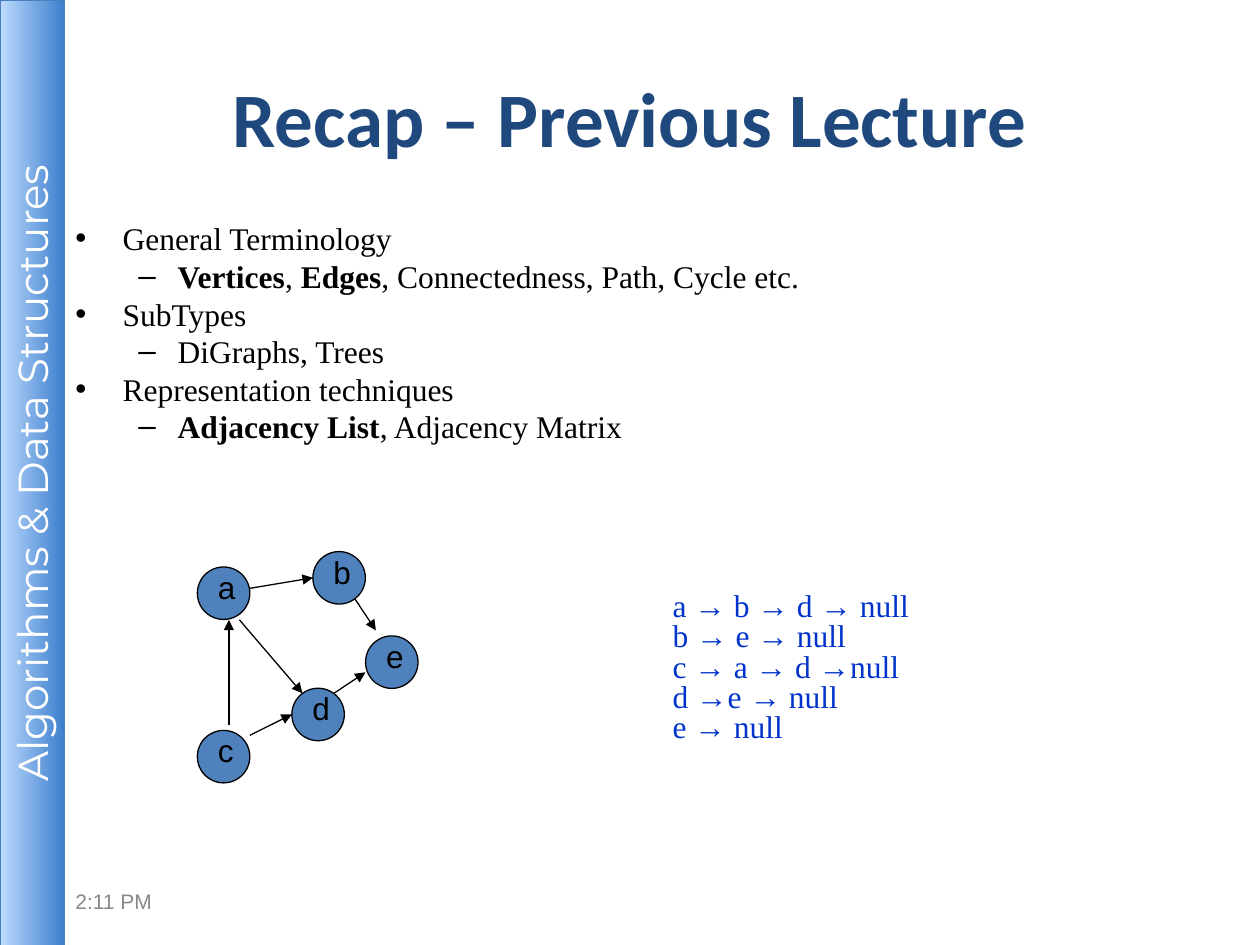
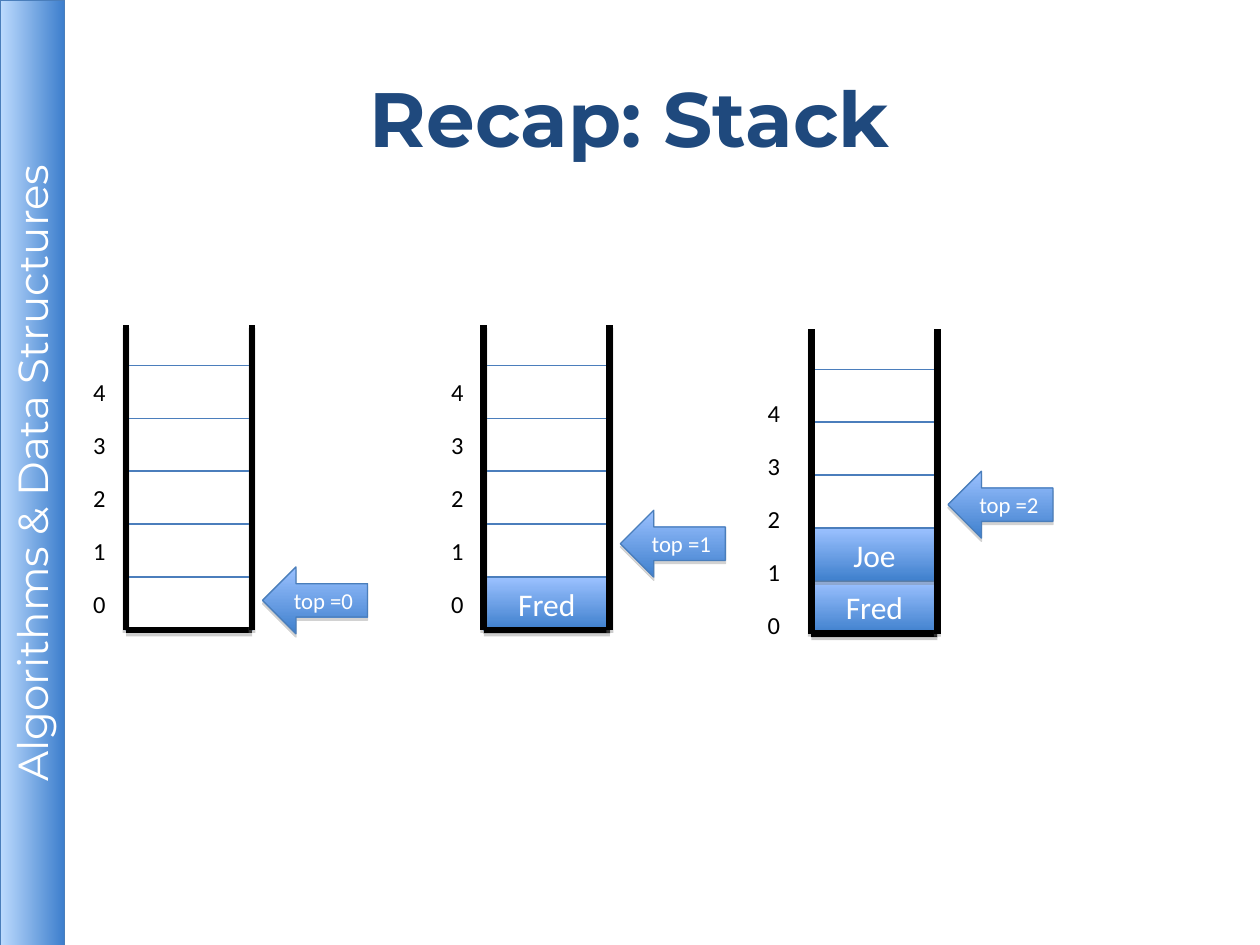
from dataclasses import dataclass

from lxml import etree
from pptx import Presentation
from pptx.dml.color import RGBColor
from pptx.enum import shapes, text
from pptx.oxml.ns import qn
from pptx.util import Pt


@dataclass(frozen=True)
class Theme:
    title: str = "1F497D"
    black: str = "000000"
    white: str = "FFFFFF"
    footer: str = "898989"
    node: str = "4F81BD"
    link: str = "0033CC"
    cell_line: str = "4B7EBC"
    edge: str = "4A7EBB"
    band: tuple = ("BDDBFE", "3E7FCD")
    blue: tuple = ("9BC1FF", "3F80CD")
    band_shadow: tuple = ("EEECE1", 35, 1.8)
    box_shadow: tuple = ("808080", 35, 1.8)
    wall_shadow: tuple = ("808080", 38, 1.6)
    title_size: int = 44
    band_size: int = 24
    body_size: int = 18
    index_size: int = 14
    pointer_size: int = 13
    footer_size: int = 12
    sans: str = "Calibri"
    display: str = "Montserrat"
    serif: str = "Times New Roman"
    plain: str = "Arial"


T = Theme()
MSO, ALIGN, ANCHOR = shapes.MSO_SHAPE, text.PP_ALIGN, text.MSO_ANCHOR


def write(sp, rows, font=T.sans, size=T.body_size, color=T.black, bold=False, align=ALIGN.CENTER,
          anchor=ANCHOR.MIDDLE, wrap=True, inset=None, spacing=None, before=0, alt=None):
    """Write one paragraph per row; pieces between asterisks take the alt font settings."""
    tf = sp.text_frame
    tf.word_wrap, tf.vertical_anchor = wrap, anchor
    if inset is not None:
        tf.margin_left = tf.margin_right = tf.margin_top = tf.margin_bottom = Pt(inset)
    for i, row in enumerate(rows):
        p = tf.paragraphs[0] if i == 0 else tf.add_paragraph()
        p.alignment, p.line_spacing, p.space_before = align, spacing, Pt(before)
        for j, piece in enumerate(row.split("*")):
            if not piece:
                continue
            r = p.add_run()
            r.text = piece
            r.font.name, r.font.size, r.font.bold = font, Pt(size), bold
            r.font.color.rgb = RGBColor.from_string(color)
            for key, value in (alt or {}).items() if j % 2 else ():
                setattr(r.font, key, value)
    return tf.paragraphs


def style(sp, fill=None, line=None, width=0.75, shadow=None, arrow=False):
    """Set fill (one colour or a gradient pair), outline, shadow and arrowhead."""
    if isinstance(fill, tuple):
        sp.fill.gradient()
        sp.fill.gradient_angle = 270
        for stop, color in zip(sp.fill.gradient_stops, fill):
            stop.color.rgb = RGBColor.from_string(color)
    elif fill:
        sp.fill.solid()
        sp.fill.fore_color.rgb = RGBColor.from_string(fill)
    if line:
        sp.line.color.rgb = RGBColor.from_string(line)
        sp.line.width = Pt(width)
    else:
        sp.line.fill.background()
    spPr = sp._element.spPr
    if arrow:
        etree.SubElement(spPr.find(qn("a:ln")), qn("a:tailEnd"), type="triangle")
    effects = etree.SubElement(spPr, qn("a:effectLst"))
    if shadow:
        color, alpha, dist = shadow
        outer = etree.SubElement(effects, qn("a:outerShdw"), blurRad="0", dist=str(Pt(dist)),
                                 dir="5400000", rotWithShape="0")
        clr = etree.SubElement(outer, qn("a:srgbClr"), val=color)
        etree.SubElement(clr, qn("a:alpha"), val=str(alpha * 1000))


prs = Presentation()
prs.slide_width, prs.slide_height = Pt(720), Pt(540)

# Shared side band and title
slides = []
for title, font in (("Recap – Previous Lecture", T.sans), ("Recap: Stack", T.display)):
    s = prs.slides.add_slide(prs.slide_layouts[6])
    sp = s.shapes.add_shape(MSO.RECTANGLE, Pt(-252), Pt(252), Pt(540.7), Pt(36.7))
    sp.rotation = 270
    style(sp, T.band, T.edge, shadow=T.band_shadow)
    write(sp, ["Algorithms & Data Structures"], T.display, T.band_size, T.white, inset=3)
    sp = s.shapes.add_textbox(Pt(36), Pt(21.6), Pt(648), Pt(90))
    write(sp, [title], font, T.title_size, T.title, bold=True)
    slides.append(s)

# Slide 1: bulleted recap
s = slides[0]
topics = [
    (0, "General Terminology"),
    (1, "*Vertices*, *Edges*, Connectedness, Path, Cycle etc."),
    (0, "SubTypes"),
    (1, "DiGraphs, Trees"),
    (0, "Representation techniques"),
    (1, "*Adjacency List*, Adjacency Matrix"),
]
bullets = [("•", 27, -27), ("–", 58.5, -22.5)]
sp = s.shapes.add_textbox(Pt(36), Pt(126), Pt(648), Pt(132.5))
paras = write(sp, [row for _, row in topics], T.serif, align=ALIGN.JUSTIFY, anchor=ANCHOR.TOP,
              spacing=0.8, before=4.2, alt={"bold": True})
for p, (level, _) in zip(paras, topics):
    char, margin, indent = bullets[level]
    p.level = level
    pPr = p._p.get_or_add_pPr()
    pPr.set("marL", str(Pt(margin)))
    pPr.set("indent", str(Pt(indent)))
    etree.SubElement(pPr, qn("a:buFont"), typeface=T.plain)
    etree.SubElement(pPr, qn("a:buChar"), char=char)

# Time in the footer
sp = s.shapes.add_textbox(Pt(36), Pt(500.5), Pt(168), Pt(28.8))
write(sp, ["2:11 PM"], T.plain, T.footer_size, T.footer, align=ALIGN.LEFT)

# Directed graph: nodes, then edges
nodes = {"a": (112.8, 324), "b": (178.8, 315.2), "c": (112.8, 417.4), "e": (208.9, 363.4), "d": (166.8, 393.3)}
for name, (x, y) in nodes.items():
    sp = s.shapes.add_shape(MSO.OVAL, Pt(x), Pt(y), Pt(30), Pt(30))
    style(sp, T.node, T.black)
    sp = s.shapes.add_textbox(Pt(x + 4.7), Pt(y - 3), Pt(24.5), Pt(29))
    write(sp, [name], T.plain, align=ALIGN.LEFT, anchor=ANCHOR.TOP, wrap=False)
edges = [
    (142.8, 336.2, 178.8, 330.2),  # a to b
    (136.8, 354.2, 172.8, 396.2),  # a to d
    (130.8, 414.2, 130.8, 354.2),  # c to a
    (202.8, 342.2, 214.8, 360.2),  # b to e
    (142.8, 420.2, 166.8, 408.2),  # c to d
    (190.8, 396.2, 208.8, 384.2),  # d to e
]
for ends in edges:
    sp = s.shapes.add_connector(shapes.MSO_CONNECTOR.STRAIGHT, *map(Pt, ends))
    style(sp, line=T.black, arrow=True)

# Adjacency lists
lists = ["a → b → d → null", "b → e → null", "c → a → d →null", "d →e → null", "e → null"]
sp = s.shapes.add_textbox(Pt(269.3), Pt(335.5), Pt(360), Pt(94.3))
paras = write(sp, [row.replace("→", "*→*") for row in lists], T.serif, color=T.link, align=ALIGN.JUSTIFY,
              anchor=ANCHOR.TOP, spacing=0.8, alt={"name": T.plain})
for p in paras:
    p._p.get_or_add_pPr().set("marL", str(Pt(108)))

# Slide 2: stacks as (left, floor, index left, index floor, pointer top, items from the bottom)
s = slides[1]
CELL_W, CELL_H, CELLS, WALL_H = 72, 30.25, 5, 174
stacks = [
    (72, 360, 41.6, 360, 324, []),
    (276.5, 360, 246.2, 360, 291.6, ["Fred"]),
    (463.7, 362.2, 427, 372.2, 269.3, ["Fred", "Joe"]),
]
for x, floor, index_x, index_floor, pointer_y, items in stacks:
    # Index labels
    for i in range(CELLS):
        sp = s.shapes.add_shape(MSO.RECTANGLE, Pt(index_x), Pt(index_floor - (i + 1) * CELL_H),
                                Pt(CELL_H), Pt(CELL_H))
        style(sp, T.white)
        write(sp, [str(i)], size=T.index_size)
    # Cells, filled up to the top of the stack
    for i in range(CELLS):
        sp = s.shapes.add_shape(MSO.RECTANGLE, Pt(x), Pt(floor - (i + 1) * CELL_H), Pt(CELL_W), Pt(CELL_H))
        if i < len(items):
            style(sp, T.blue, T.edge, shadow=T.box_shadow)
            write(sp, [items[i]], color=T.white)
        else:
            style(sp, T.white, T.cell_line)
    # Walls and floor
    right, rim = x + CELL_W, floor - WALL_H
    for ends in ((x, rim, x, floor), (x, floor, right, floor), (right, rim, right, floor)):
        sp = s.shapes.add_connector(shapes.MSO_CONNECTOR.STRAIGHT, *map(Pt, ends))
        style(sp, line=T.black, width=4, shadow=T.wall_shadow)
    # Pointer to the next free cell
    sp = s.shapes.add_shape(MSO.LEFT_ARROW, Pt(right + 6), Pt(pointer_y), Pt(60), Pt(38.2))
    style(sp, T.blue, T.edge, shadow=T.box_shadow)
    write(sp, [f"top ={len(items)}"], size=T.pointer_size, color=T.white)

prs.save("out.pptx")
